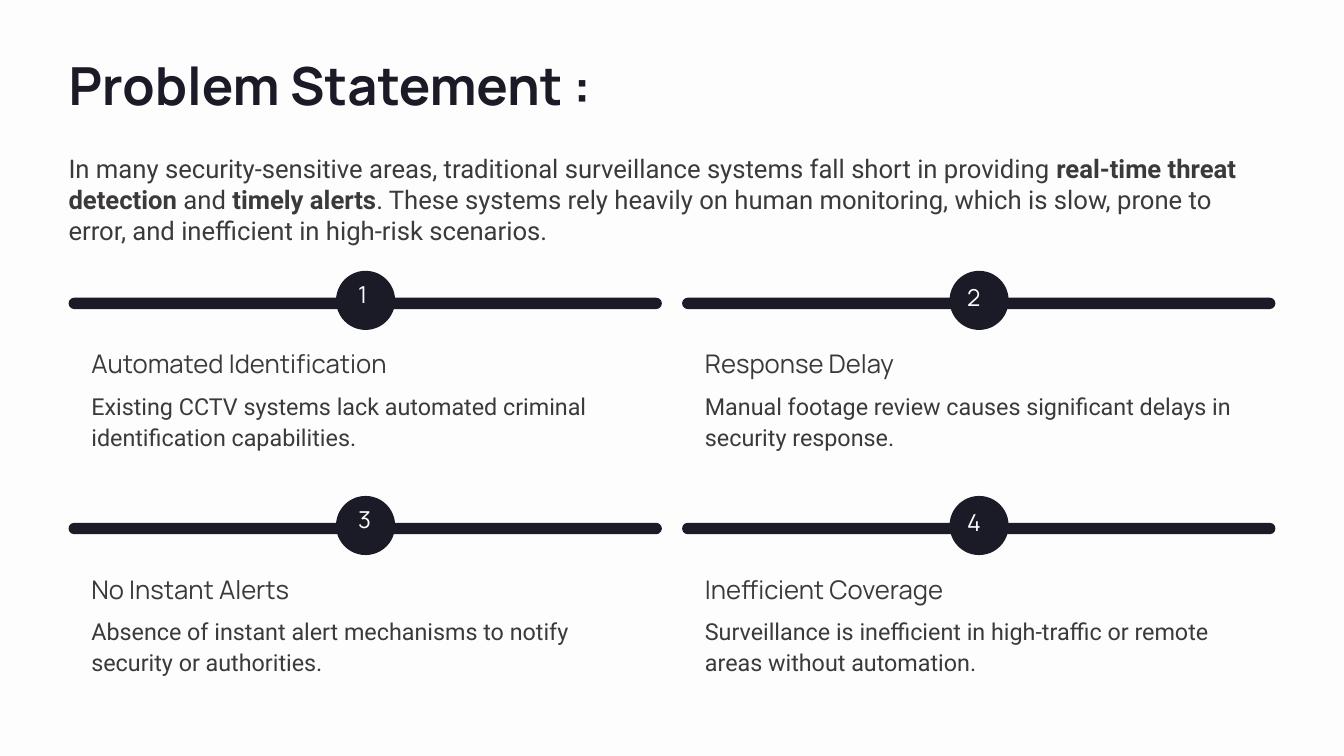
from dataclasses import dataclass
from typing import NamedTuple

from lxml import etree
from pptx import Presentation, util as u
from pptx.dml.color import RGBColor
from pptx.enum import shapes, text
from pptx.oxml.ns import qn


@dataclass(frozen=True)
class Theme:
    ink: str = "1B1B27"
    body: str = "3C3939"
    paper: str = "FFFFFF"
    tint: str = "ECECF3"
    veil_opacity: int = 90
    display_font: str = "Manrope"
    text_font: str = "Roboto"


class Style(NamedTuple):
    font: str
    size: float
    color: str
    leading: float
    bold: bool = False


class Box(NamedTuple):
    left: float
    top: float
    width: float
    height: float

    def shifted(self, dx: float, dy: float) -> "Box":
        return self._replace(left=self.left + dx, top=self.top + dy)


class Span(NamedTuple):
    words: str
    bold: bool = False


class Problem(NamedTuple):
    heading: str
    detail: str


THEME = Theme()
TITLE = Style(THEME.display_font, 56.2, THEME.ink, 65.6, True)
INTRO = Style(THEME.text_font, 27.5, THEME.body, 33.1)
NUMERAL = Style(THEME.display_font, 25, THEME.paper, 40)
HEADING = Style(THEME.display_font, 27.5, THEME.body, 32.5)
DETAIL = Style(THEME.text_font, 25, THEME.body, 33.1)

PAGE = Box(0, 0, 20, 11.25)
MARGIN = 1.02
COLUMNS = 2
GUTTER = 0.3
COLUMN_WIDTH = (PAGE.width - 2 * MARGIN - GUTTER) / COLUMNS
COLUMN_PITCH = COLUMN_WIDTH + GUTTER
ROW_TOP, ROW_PITCH = 4.03, 3.35

# Parts of one problem, measured from the corner of its grid cell.
BAR = Box(0, 0.4, COLUMN_WIDTH, 0.17)
BADGE = Box(3.98, 0, 0.88, 0.88)
NUMERAL_BOXES = (Box(4.31, 0, 0.35, 0.56), Box(4.24, 0.05, 0.35, 0.56))
HEADING_BOX = Box(0.34, 1.16, 4.52, 0.47)
DETAIL_BOX = Box(0.34, 1.76, 8.17, 0.98)

INTRO_SPANS = (
    Span("In many security-sensitive areas, traditional surveillance systems "
         "fall short in providing "),
    Span("real-time threat detection", True),
    Span(" and "),
    Span("timely alerts", True),
    Span(". These systems rely heavily on human monitoring, which is slow, "
         "prone to error, and inefficient in high-risk scenarios."),
)
PROBLEMS = (
    Problem("Automated Identification",
            "Existing CCTV systems lack automated criminal identification capabilities."),
    Problem("Response Delay",
            "Manual footage review causes significant delays in security response."),
    Problem("No Instant Alerts",
            "Absence of instant alert mechanisms to notify security or authorities."),
    Problem("Inefficient Coverage",
            "Surveillance is inefficient in high-traffic or remote areas without automation."),
)


def draw_shape(slide, kind: shapes.MSO_SHAPE, box: Box, color: str):
    shape = slide.shapes.add_shape(kind, *map(u.Inches, box))
    shape.shadow.inherit = False
    shape.fill.solid()
    shape.fill.fore_color.rgb = RGBColor.from_string(color)
    shape.line.fill.background()
    return shape


def draw_text(slide, box: Box, style: Style, *spans: Span) -> None:
    frame = slide.shapes.add_textbox(*map(u.Inches, box)).text_frame
    frame_format = dict(word_wrap=True, auto_size=text.MSO_AUTO_SIZE.NONE,
                        margin_left=0, margin_top=0, margin_right=0, margin_bottom=0)
    for name, value in frame_format.items():
        setattr(frame, name, value)
    paragraph = frame.paragraphs[0]
    paragraph.line_spacing = u.Pt(style.leading)
    for span in spans:
        run = paragraph.add_run()
        run.text = span.words
        run_format = dict(name=style.font, size=u.Pt(style.size),
                          bold=style.bold or span.bold)
        for name, value in run_format.items():
            setattr(run.font, name, value)
        run.font.color.rgb = RGBColor.from_string(style.color)


def draw_backdrop(slide) -> None:
    """Tint the page, then soften it with a nearly opaque veil."""
    draw_shape(slide, shapes.MSO_SHAPE.RECTANGLE, PAGE, THEME.tint)
    veil = draw_shape(slide, shapes.MSO_SHAPE.RECTANGLE, PAGE, THEME.paper)
    color = veil.fill._xPr.find(qn("a:solidFill"))[0]
    etree.SubElement(color, qn("a:alpha"), val=str(THEME.veil_opacity * 1000))


def draw_problem(slide, index: int, problem: Problem) -> None:
    row, column = divmod(index, COLUMNS)
    corner = MARGIN + column * COLUMN_PITCH, ROW_TOP + row * ROW_PITCH
    bar = draw_shape(slide, shapes.MSO_SHAPE.ROUNDED_RECTANGLE,
                     BAR.shifted(*corner), THEME.ink)
    bar.adjustments[0] = 0.5
    draw_shape(slide, shapes.MSO_SHAPE.OVAL, BADGE.shifted(*corner), THEME.ink)
    for box, style, words in (
        (NUMERAL_BOXES[column], NUMERAL, str(index + 1)),
        (HEADING_BOX, HEADING, problem.heading),
        (DETAIL_BOX, DETAIL, problem.detail),
    ):
        draw_text(slide, box.shifted(*corner), style, Span(words))


def main() -> None:
    deck = Presentation()
    deck.slide_width, deck.slide_height = u.Inches(PAGE.width), u.Inches(PAGE.height)
    slide = deck.slides.add_slide(deck.slide_layouts[6])
    draw_backdrop(slide)
    draw_text(slide, Box(MARGIN, 0.81, 8.14, 0.93), TITLE, Span("Problem Statement :"))
    draw_text(slide, Box(MARGIN, 2.28, PAGE.width - 2 * MARGIN, 1.42), INTRO, *INTRO_SPANS)
    for index, problem in enumerate(PROBLEMS):
        draw_problem(slide, index, problem)
    deck.save("out.pptx")


if __name__ == "__main__":
    main()
